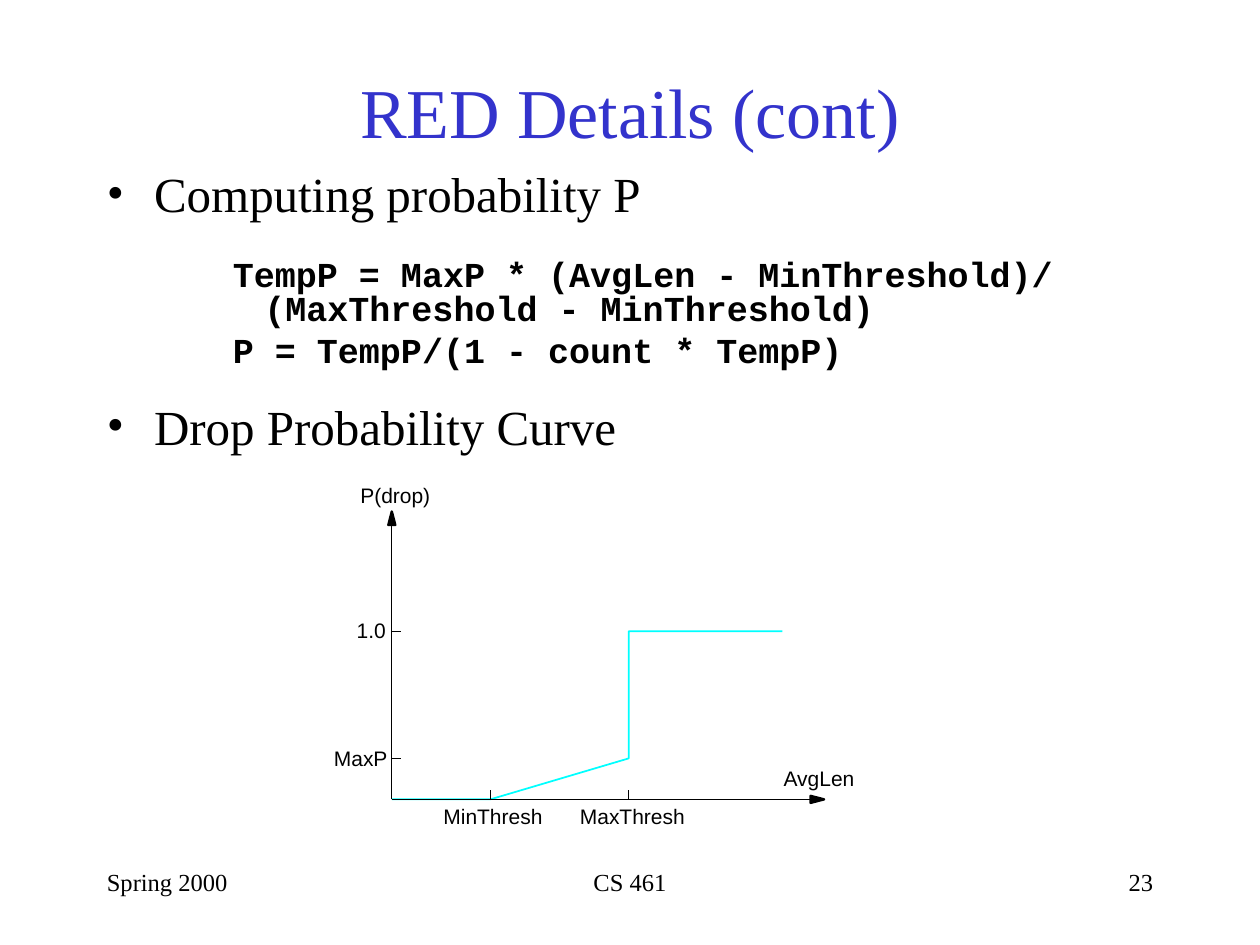
from dataclasses import dataclass

from lxml import etree
from pptx import Presentation
from pptx import util as u
from pptx.dml import color
from pptx.enum import shapes, text
from pptx.oxml import ns

Pt = u.Pt


@dataclass(frozen=True)
class Theme:
    ink: str = "000000"
    title: str = "3333CC"
    curve: str = "00FFFF"
    serif: str = "Times New Roman"
    sans: str = "Arial"
    mono: str = "Courier New"
    title_size: float = 40
    bullet_size: float = 28
    code_size: float = 20
    footer_size: float = 14
    label_size: float = 12
    axis_width: float = 0.62
    head_width: float = 1.39
    curve_width: float = 1


class SlideWriter:
    def __init__(self, slide, theme):
        self.slide = slide
        self.theme = theme

    def style(self, paragraph, font, size, ink=None, bold=False):
        paragraph.font.size = Pt(size)
        for run in paragraph.runs:
            run.font.name = font
            run.font.size = Pt(size)
            run.font.bold = bold
            run.font.color.rgb = color.RGBColor.from_string(ink or self.theme.ink)

    def text_box(self, left, top, width, height):
        box = self.slide.shapes.add_textbox(Pt(left), Pt(top), Pt(width), Pt(height))
        box.text_frame.word_wrap = True
        return box.text_frame

    def line_of_text(self, words, box, size, align, ink=None):
        frame = self.text_box(*box)
        frame.text = words
        paragraph = frame.paragraphs[0]
        paragraph.alignment = align
        self.style(paragraph, self.theme.serif, size, ink)
        return frame

    def body(self, box, items):
        frame = self.text_box(*box)
        for index, (words, is_code, space) in enumerate(items):
            paragraph = frame.add_paragraph() if index else frame.paragraphs[0]
            paragraph.text = words
            paragraph.line_spacing = 0.8
            paragraph.space_before = Pt(space)
            margin, indent = (90, -18) if is_code else (27, -27)
            properties = paragraph._p.get_or_add_pPr()
            properties.set("marL", str(Pt(margin)))
            properties.set("indent", str(Pt(indent)))
            if is_code:
                etree.SubElement(properties, ns.qn("a:buNone"))
                self.style(paragraph, self.theme.mono, self.theme.code_size, bold=True)
            else:
                etree.SubElement(properties, ns.qn("a:buFont")).set("typeface", self.theme.serif)
                etree.SubElement(properties, ns.qn("a:buChar")).set("char", "•")
                self.style(paragraph, self.theme.serif, self.theme.bullet_size)

    def label(self, words, left, top, width):
        frame = self.text_box(left, top, width, 14.4)
        frame.margin_left = frame.margin_right = frame.margin_top = frame.margin_bottom = 0
        frame.text = words
        self.style(frame.paragraphs[0], self.theme.sans, self.theme.label_size)

    def line(self, start, end):
        connector = self.slide.shapes.add_connector(
            shapes.MSO_CONNECTOR.STRAIGHT, *map(Pt, (*start, *end)))
        connector.line.color.rgb = color.RGBColor.from_string(self.theme.ink)
        connector.line.width = Pt(self.theme.axis_width)
        etree.SubElement(connector._element.spPr, ns.qn("a:effectLst"))

    def outline(self, points, ink, width, filled=False):
        corners = [(Pt(x), Pt(y)) for x, y in points]
        builder = self.slide.shapes.build_freeform(*corners[0])
        builder.add_line_segments(corners[1:], close=filled)
        shape = builder.convert_to_shape()
        shape.shadow.inherit = False
        shape.line.color.rgb = color.RGBColor.from_string(ink)
        shape.line.width = Pt(width)
        if filled:
            shape.fill.solid()
            shape.fill.fore_color.rgb = color.RGBColor.from_string(ink)
        else:
            shape.fill.background()


def draw_curve(writer):
    theme = writer.theme
    origin_x, origin_y = 223.9, 456.8
    min_x, max_x, curve_end = 280.2, 359.3, 447.1
    max_p_y, one_y = 433.4, 360.7
    axis_top, axis_right = 292.3, 470.9
    tick, head_length, head_half = 5.5, 7.7, 2

    writer.outline([(origin_x, origin_y), (min_x, origin_y), (max_x, max_p_y),
                    (max_x, one_y), (curve_end, one_y)], theme.curve, theme.curve_width)
    writer.line((origin_x, origin_y), (origin_x, axis_top + head_length))
    writer.line((origin_x, origin_y), (axis_right - head_length, origin_y))
    for x in (min_x, max_x):
        writer.line((x, origin_y), (x, origin_y - tick))
    for y in (one_y, max_p_y):
        writer.line((origin_x, y), (origin_x + tick, y))

    base_y, base_x = axis_top + head_length, axis_right - head_length
    heads = (
        [(origin_x - head_half, base_y), (origin_x, axis_top), (origin_x + head_half, base_y)],
        [(base_x, origin_y - head_half), (axis_right, origin_y), (base_x, origin_y + head_half)],
    )
    for head in heads:
        writer.outline(head, theme.ink, theme.head_width, filled=True)

    for label in (("P(drop)", 205.9, 276, 44), ("1.0", 203.8, 353, 20),
                  ("MaxP", 190.8, 426.2, 34), ("MinThresh", 253.4, 459.4, 62),
                  ("MaxThresh", 331.4, 459.4, 66), ("AvgLen", 447.8, 437.5, 46)):
        writer.label(*label)


def main():
    presentation = Presentation()
    presentation.slide_width, presentation.slide_height = Pt(720), Pt(540)
    theme = Theme()
    writer = SlideWriter(presentation.slides.add_slide(presentation.slide_layouts[6]), theme)
    align = text.PP_ALIGN

    title = writer.line_of_text("RED Details (cont)", (54, 18, 612, 90),
                                theme.title_size, align.CENTER, theme.title)
    title.vertical_anchor = text.MSO_ANCHOR.MIDDLE
    writer.body((54, 96.5, 612, 324), [
        ("Computing probability P", False, 0),
        ("TempP = MaxP * (AvgLen - MinThreshold)/ (MaxThreshold - MinThreshold)", True, 22),
        ("P = TempP/(1 - count * TempP)", True, 5),
        ("Drop Probability Curve", False, 21.5),
    ])
    draw_curve(writer)
    for words, left, width, side in (("Spring 2000", 54, 150, align.LEFT),
                                     ("CS 461", 246, 228, align.CENTER),
                                     ("23", 516, 150, align.RIGHT)):
        writer.line_of_text(words, (left, 492, width, 36), theme.footer_size, side)
    presentation.save("out.pptx")


if __name__ == "__main__":
    main()
